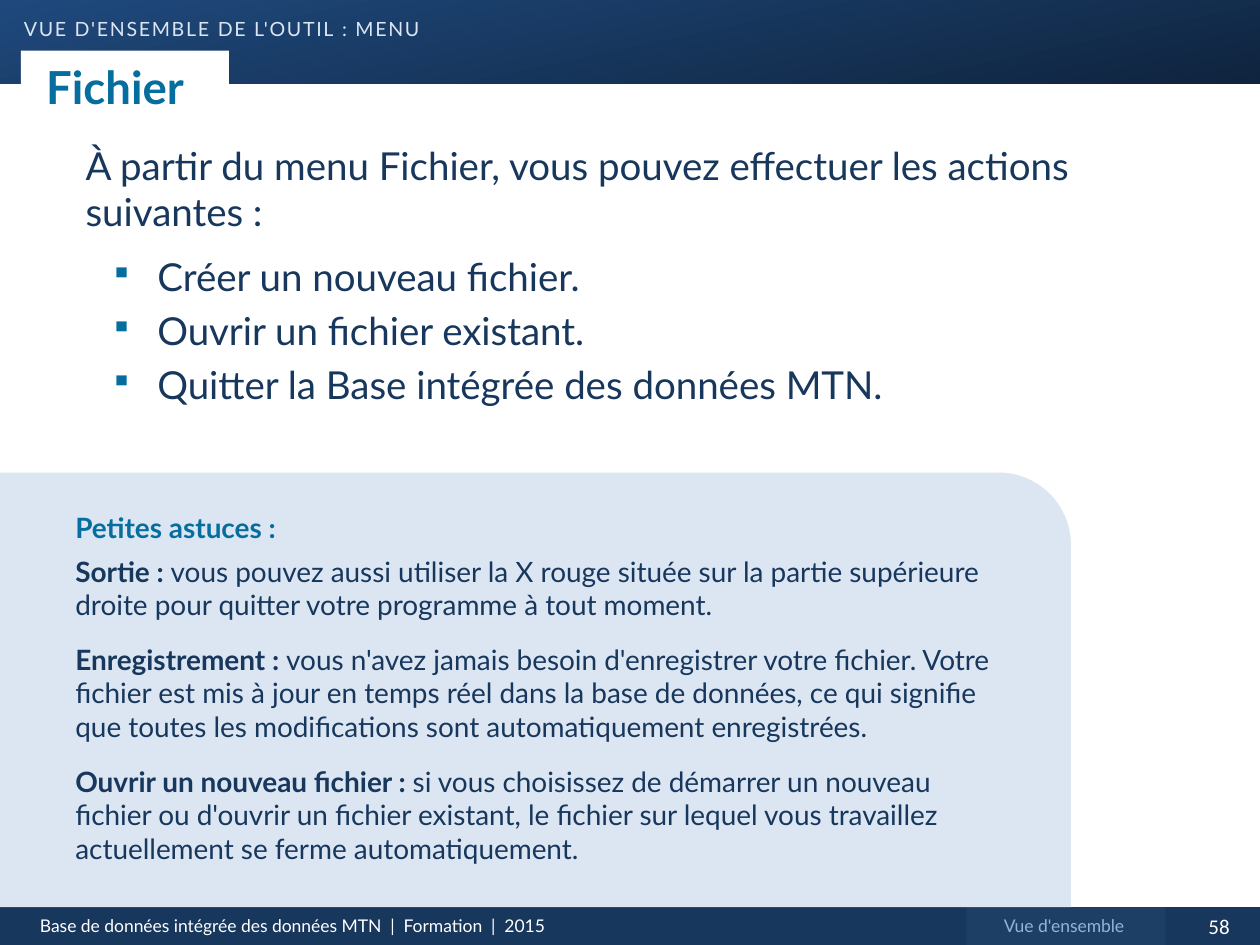
from lxml import etree
from pptx import Presentation
from pptx.dml.color import RGBColor
from pptx.enum.shapes import MSO_SHAPE
from pptx.enum.text import MSO_ANCHOR, PP_ALIGN
from pptx.oxml.ns import qn
from pptx.util import Pt

RECT = MSO_SHAPE.RECTANGLE
ROUND_ONE = MSO_SHAPE.ROUND_1_RECTANGLE
ROUND_TOP = MSO_SHAPE.ROUND_2_SAME_RECTANGLE
LEFT, CENTER = PP_ALIGN.LEFT, PP_ALIGN.CENTER
MIDDLE = MSO_ANCHOR.MIDDLE

WHITE = RGBColor(0xFF, 0xFF, 0xFF)
BLUE = RGBColor(0x1F, 0x49, 0x7D)
MIDNIGHT = RGBColor(0x0F, 0x24, 0x3E)
NAVY = RGBColor(0x17, 0x37, 0x5D)
TAB_NAVY = RGBColor(0x1E, 0x3F, 0x65)
SKY = RGBColor(0x95, 0xB3, 0xD7)
PALE = RGBColor(0xDC, 0xE6, 0xF2)
TEAL = RGBColor(0x06, 0x6E, 0x9F)

SLIDE_W, SLIDE_H = 720, 540
FOOTER_TOP = 518.4

ACTIONS = [
    "Créer un nouveau fichier.",
    "Ouvrir un fichier existant.",
    "Quitter la Base intégrée des données MTN.",
]
TIPS = [
    ("Sortie : ",
     "vous pouvez aussi utiliser la X rouge située sur la partie supérieure "
     "droite pour quitter votre programme à tout moment."),
    ("Enregistrement : ",
     "vous n'avez jamais besoin d'enregistrer votre fichier. Votre fichier est "
     "mis à jour en temps réel dans la base de données, ce qui signifie que "
     "toutes les modifications sont automatiquement enregistrées."),
    ("Ouvrir un nouveau fichier : ",
     "si vous choisissez de démarrer un nouveau fichier ou d'ouvrir un fichier "
     "existant, le fichier sur lequel vous travaillez actuellement se ferme "
     "automatiquement."),
]


def add_panel(s, box, color=None, shape=RECT):
    sp = s.shapes.add_shape(shape, *map(Pt, box))
    sp.shadow.inherit = False
    sp.line.fill.background()
    if color is not None:
        sp.fill.solid()
        sp.fill.fore_color.rgb = color
    return sp


def add_frame(s, box, wrap=True):
    tf = s.shapes.add_textbox(*map(Pt, box)).text_frame
    tf.word_wrap = wrap
    return tf


def write(tf, text, size, color, bold=False, font="Lato", align=LEFT,
          before=0, after=0, same_line=False):
    """Write a run in a new paragraph, or at the end of the last one."""
    p = tf.paragraphs[-1]
    if not same_line:
        if p.runs:
            p = tf.add_paragraph()
        p.alignment = align
        p.space_before, p.space_after = Pt(before), Pt(after)
    r = p.add_run()
    r.text = text
    r.font.size, r.font.bold, r.font.name = Pt(size), bold, font
    r.font.color.rgb = color
    return p


def add_bullet(p, char, color, margin, hanging):
    pPr = p._p.get_or_add_pPr()
    pPr.set("marL", str(Pt(margin)))
    pPr.set("indent", str(-Pt(hanging)))
    bu_color = etree.SubElement(pPr, qn("a:buClr"))
    etree.SubElement(bu_color, qn("a:srgbClr")).set("val", str(color))
    etree.SubElement(pPr, qn("a:buSzPct")).set("val", "80000")
    etree.SubElement(pPr, qn("a:buChar")).set("char", char)


def header(s, box):
    x, y, w, h = box
    band = add_panel(s, box)
    band.fill.gradient()
    band.fill.gradient_angle = 282
    for stop, color in zip(band.fill.gradient_stops, (BLUE, MIDNIGHT)):
        stop.color.rgb = color

    tf = add_frame(s, (x + 13.7, y + 3.6, 283.7, 24.5), wrap=False)
    tf.margin_left = tf.margin_right = 0
    p = write(tf, "vue d'ensemble de l'outil : menu", 14, PALE)
    rPr = p.runs[0].font._element
    rPr.set("cap", "small")
    rPr.set("spc", "100")

    tab = add_panel(s, (x + 12, y + 29, 118.8, 40.3), WHITE, ROUND_TOP)
    tab.adjustments[0] = 0
    tf = tab.text_frame
    tf.word_wrap = False
    tf.vertical_anchor = MIDDLE
    tf.margin_left = tf.margin_right = Pt(14.4)
    write(tf, "Fichier", 26, TEAL, bold=True)


def action_list(s, box):
    tf = add_frame(s, box)
    write(tf, "À partir du menu Fichier, vous pouvez effectuer les actions "
          "suivantes :", 22, NAVY, before=4.4, after=6)
    for action in ACTIONS:
        p = write(tf, action, 22, NAVY, before=4.4)
        add_bullet(p, "▪", TEAL, margin=41, hanging=27)


def tips_panel(s, box):
    x, y, w, h = box
    add_panel(s, box, PALE, ROUND_ONE)
    tf = add_frame(s, (x + 36, y + 18, w - 72, h - 18))
    write(tf, "Petites astuces :", 16, TEAL, bold=True, after=6)
    for label, tip in TIPS:
        write(tf, label, 16, NAVY, bold=True, after=12)
        write(tf, tip, 16, NAVY, same_line=True)


def footer(s, box):
    x, y, w, h = box
    add_panel(s, box, NAVY)
    add_panel(s, (x + 552.2, y, 113.8, h), TAB_NAVY)
    write(add_frame(s, (x + 15.8, y + 0.7, 326.2, 19.4)),
          "Base de données intégrée des données MTN  |  Formation  |  2015",
          10, WHITE)
    write(add_frame(s, (x + 552.2, y + 0.7, 111.6, 19.4)),
          "Vue d'ensemble", 10, SKY, align=CENTER)
    write(add_frame(s, (x + 673.2, y, 46.8, h)),
          "58", 12, WHITE, font="Calibri", align=CENTER)


def main():
    prs = Presentation()
    prs.slide_width, prs.slide_height = Pt(SLIDE_W), Pt(SLIDE_H)
    s = prs.slides.add_slide(prs.slide_layouts[6])
    header(s, (0, 0, SLIDE_W, 48))
    action_list(s, (41.8, 77.8, 617.8, 180))
    footer(s, (0, FOOTER_TOP, SLIDE_W, SLIDE_H - FOOTER_TOP))
    tips_panel(s, (0, 270, 612, FOOTER_TOP - 270))
    prs.save("out.pptx")


if __name__ == "__main__":
    main()
